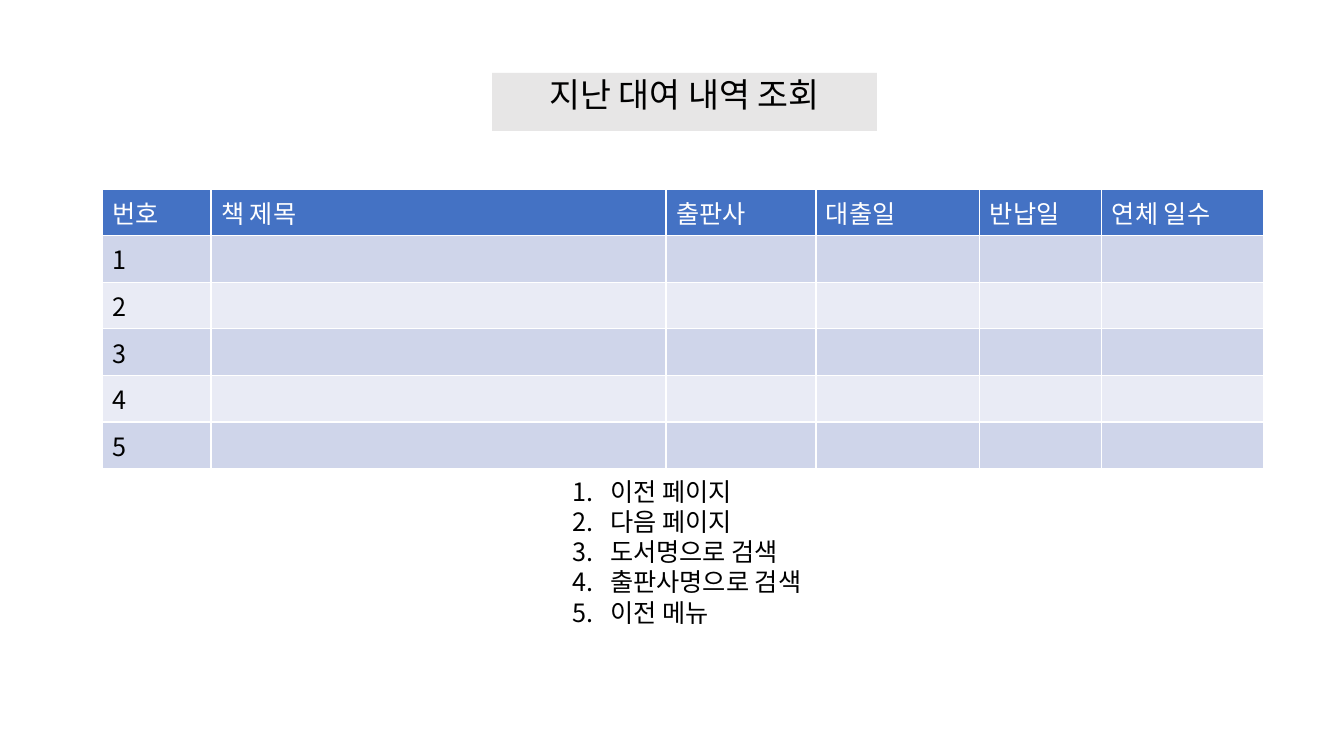
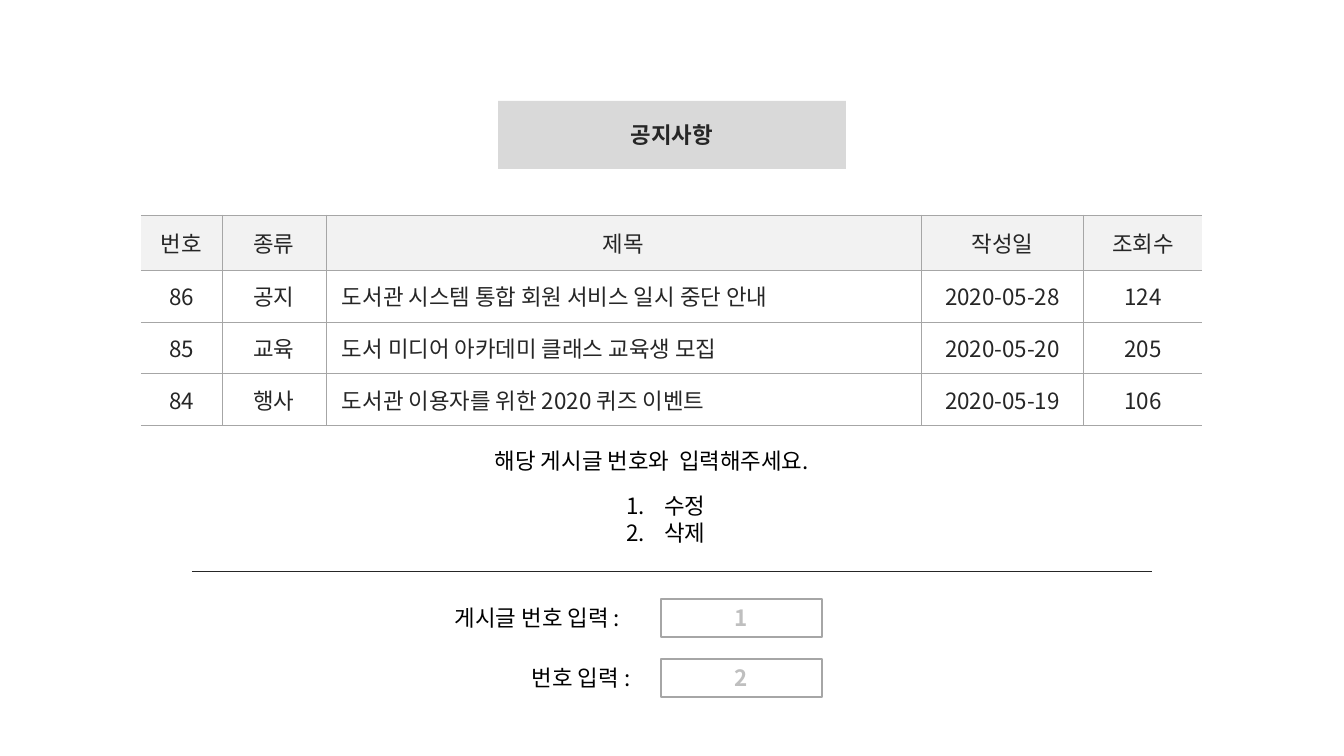
from lxml import etree
from pptx import Presentation
from pptx.dml.color import RGBColor
from pptx.enum.shapes import MSO_CONNECTOR, MSO_SHAPE
from pptx.enum.text import MSO_ANCHOR, MSO_AUTO_SIZE, PP_ALIGN
from pptx.oxml.ns import qn
from pptx.util import Emu, Pt

LEFT, CENTER = PP_ALIGN.LEFT, PP_ALIGN.CENTER
TOP, MIDDLE = MSO_ANCHOR.TOP, MSO_ANCHOR.MIDDLE
NO_AUTOFIT = MSO_AUTO_SIZE.NONE
RECTANGLE = MSO_SHAPE.RECTANGLE
STRAIGHT = MSO_CONNECTOR.STRAIGHT

BLACK = RGBColor(0x00, 0x00, 0x00)
WHITE = RGBColor(0xFF, 0xFF, 0xFF)
DARK = RGBColor(0x26, 0x26, 0x26)
RULE_GRAY = RGBColor(0xA6, 0xA6, 0xA6)
HINT_GRAY = RGBColor(0xBF, 0xBF, 0xBF)
WARM_GRAY = RGBColor(0xE7, 0xE6, 0xE6)
TITLE_GRAY = RGBColor(0xD9, 0xD9, 0xD9)
HEADER_GRAY = RGBColor(0xF2, 0xF2, 0xF2)
BLUE = RGBColor(0x44, 0x72, 0xC4)
BAND_DARK = RGBColor(0xCF, 0xD5, 0xEA)
BAND_LIGHT = RGBColor(0xE9, 0xEB, 0xF5)

FONT = "Noto Sans CJK KR"
TITLE_FONT = "Arial"
EMU_PER_PX = 914400 / 100.8
LIST_INDENT = 38


def px(*lengths):
    return [Emu(round(length * EMU_PER_PX)) for length in lengths]


class Deck:
    def __init__(self):
        self.presentation = Presentation()
        width, height = px(1344, 756)
        self.presentation.slide_width = width
        self.presentation.slide_height = height
        self.slide = None

    def new_slide(self):
        layout = self.presentation.slide_layouts[1]
        self.slide = self.presentation.slides.add_slide(layout)

    def set_text(self, paragraph, text, size, color, bold=False, align=LEFT, font=FONT):
        paragraph.text = text
        paragraph.alignment = align
        paragraph.font.size = Pt(size)
        paragraph.font.bold = bold
        paragraph.font.color.rgb = color
        paragraph.font.name = font
        properties = paragraph._p.pPr.find(qn("a:defRPr"))
        etree.SubElement(properties, qn("a:ea"), typeface=FONT)

    def place(self, shape, box):
        shape.left, shape.top, shape.width, shape.height = px(*box)

    def title(self, text, box, fill, size, color, bold=False, anchor=MIDDLE, font=FONT):
        title = self.slide.shapes.title
        self.place(title, box)
        title.fill.solid()
        title.fill.fore_color.rgb = fill
        frame = title.text_frame
        frame.auto_size = NO_AUTOFIT
        frame.vertical_anchor = anchor
        self.set_text(frame.paragraphs[0], text, size, color, bold, CENTER, font)
        return frame.paragraphs[0]

    def numbered_list(self, items, box, size):
        body = self.slide.placeholders[1]
        self.place(body, box)
        frame = body.text_frame
        frame.auto_size = NO_AUTOFIT
        frame.text = "\n".join(items)
        indent = px(LIST_INDENT)[0]
        for paragraph, item in zip(frame.paragraphs, items):
            self.set_text(paragraph, item, size, BLACK)
            paragraph.space_before = Pt(0)
            properties = paragraph._p.pPr
            properties.set("marL", str(indent))
            properties.set("indent", str(-indent))
            run_defaults = properties.find(qn("a:defRPr"))
            for tag, name, value in (("a:buFont", "typeface", FONT),
                                     ("a:buAutoNum", "type", "arabicPeriod")):
                bullet = etree.Element(qn(tag))
                bullet.set(name, value)
                run_defaults.addprevious(bullet)

    def table(self, rows, left, top, widths, heights):
        box = px(left, top, sum(widths), sum(heights))
        table = self.slide.shapes.add_table(len(rows), len(widths), *box).table
        for column, width in zip(table.columns, px(*widths)):
            column.width = width
        for row, height in zip(table.rows, px(*heights)):
            row.height = height
        return table

    def cell(self, cell, text, size, color, fill, align=LEFT):
        cell.fill.solid()
        cell.fill.fore_color.rgb = fill
        if text:
            self.set_text(cell.text_frame.paragraphs[0], text, size, color, align=align)

    def borders(self, cell, color, points, hidden=""):
        properties = cell._tc.get_or_add_tcPr()
        for index, side in enumerate("LRTB"):
            line = etree.Element(qn(f"a:ln{side}"), w=str(Pt(points)))
            if side in hidden:
                etree.SubElement(line, qn("a:noFill"))
            else:
                fill = etree.SubElement(line, qn("a:solidFill"))
                etree.SubElement(fill, qn("a:srgbClr"), val=str(color))
            properties.insert(index, line)

    def text(self, text, box, size, shapes=None):
        textbox = (shapes or self.slide.shapes).add_textbox(*px(*box))
        textbox.text_frame.word_wrap = True
        self.set_text(textbox.text_frame.paragraphs[0], text, size, BLACK)

    def input_field(self, label, label_left, value, top):
        field_left, field_width, height = 661, 161, 38
        shapes = self.slide.shapes.add_group_shape().shapes
        field = shapes.add_shape(RECTANGLE, *px(field_left, top, field_width, height))
        field.shadow.inherit = False
        field.fill.solid()
        field.fill.fore_color.rgb = WHITE
        field.line.color.rgb = RULE_GRAY
        field.line.width = Pt(1)
        field.text_frame.vertical_anchor = MIDDLE
        self.set_text(field.text_frame.paragraphs[0], value, 16, HINT_GRAY, True, CENTER)
        self.text(label, (label_left, top, field_left - label_left, height), 16, shapes)

    def divider(self, left, right, y):
        line = self.slide.shapes.add_connector(STRAIGHT, *px(left, y, right, y))
        line.line.color.rgb = DARK
        line.line.width = Pt(0.5)
        etree.SubElement(line._element.spPr, qn("a:effectLst"))


def rental_history(deck):
    deck.new_slide()
    heading = deck.title("지난 대여 내역 조회", (492, 73, 385, 58), WARM_GRAY, 24, BLACK, anchor=TOP)
    heading.line_spacing = 0.9
    heading.space_before = Pt(10)

    header = ["번호", "책 제목", "출판사", "대출일", "반납일", "연체 일수"]
    rows = [header] + [[str(number)] + [""] * 5 for number in range(1, 6)]
    table = deck.table(rows, 102, 189, [109, 455, 150, 164, 122, 162], [30] + [41] * 5)
    for row_index, row in enumerate(rows):
        band = BAND_DARK if row_index % 2 else BAND_LIGHT
        fill, color = (band, BLACK) if row_index else (BLUE, WHITE)
        for column_index, text in enumerate(row):
            cell = table.cell(row_index, column_index)
            deck.cell(cell, text, 18, color, fill)
            deck.borders(cell, WHITE, 1)

    menu = ["이전 페이지", "다음 페이지", "도서명으로 검색", "출판사명으로 검색", "이전 메뉴"]
    deck.numbered_list(menu, (562, 471, 315, 163), 18)


def notices(deck):
    deck.new_slide()
    deck.title("공지사항", (498, 101, 348, 68), TITLE_GRAY, 16, DARK, True, font=TITLE_FONT)

    rows = [
        ["번호", "종류", "제목", "작성일", "조회수"],
        ["86", "공지", "도서관 시스템 통합 회원 서비스 일시 중단 안내", "2020-05-28", "124"],
        ["85", "교육", "도서 미디어 아카데미 클래스 교육생 모집", "2020-05-20", "205"],
        ["84", "행사", "도서관 이용자를 위한 2020 퀴즈 이벤트", "2020-05-19", "106"],
    ]
    table = deck.table(rows, 141, 215, [81, 104, 595, 163, 118], [55] + [52] * 3)
    subject_column, last_column = 2, 4
    hidden_sides = {0: "L", last_column: "R"}
    for row_index, row in enumerate(rows):
        for column_index, text in enumerate(row):
            cell = table.cell(row_index, column_index)
            is_subject = row_index > 0 and column_index == subject_column
            deck.cell(cell, text, 16, DARK, WHITE if row_index else HEADER_GRAY,
                      LEFT if is_subject else CENTER)
            cell.vertical_anchor = MIDDLE
            cell.margin_right = cell.margin_top = cell.margin_bottom = 0
            cell.margin_left = px(16 if is_subject else 0)[0]
            deck.borders(cell, RULE_GRAY, 0.75, hidden_sides.get(column_index, ""))

    deck.text("해당 게시글 번호와  입력해주세요.", (485, 442, 374, 38), 16)
    deck.numbered_list(["수정", "삭제"], (616, 487, 112, 64), 16)
    deck.divider(192, 1152, 571)
    deck.input_field("게시글 번호 입력 :", 445, "1", 599)
    deck.input_field("번호 입력 :", 522, "2", 659)


def main():
    deck = Deck()
    rental_history(deck)
    notices(deck)
    deck.presentation.save("out.pptx")


if __name__ == "__main__":
    main()
